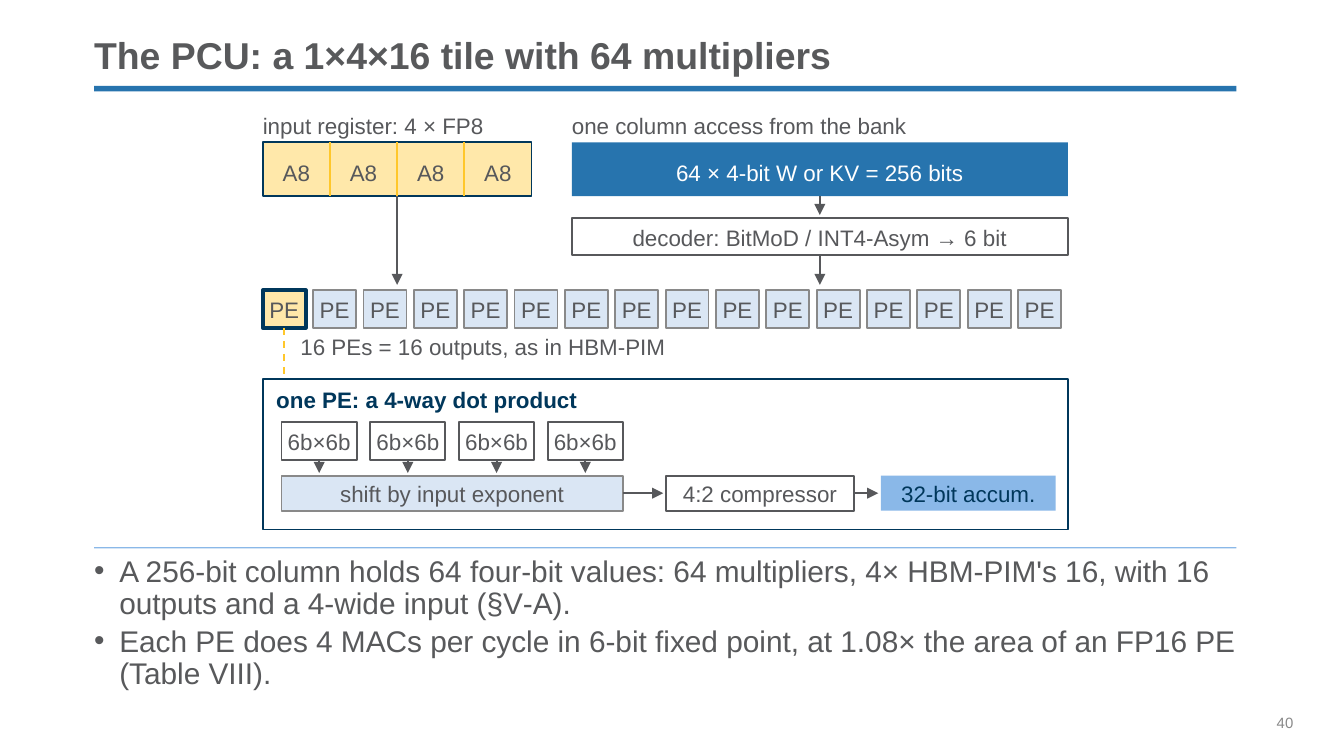
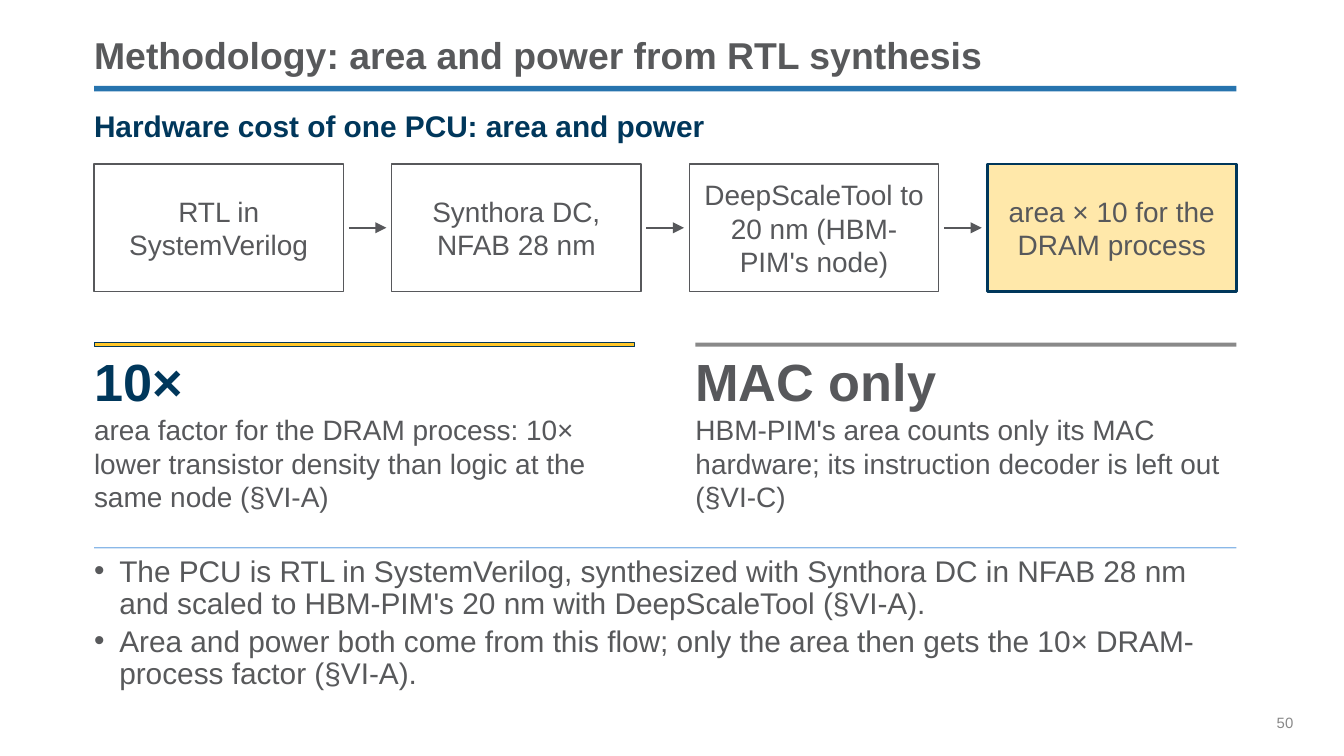
from pptx import Presentation
from pptx.dml.color import RGBColor
from pptx.enum.dml import MSO_LINE
from pptx.enum.shapes import MSO_CONNECTOR, MSO_SHAPE
from pptx.enum.text import MSO_ANCHOR, MSO_AUTO_SIZE, PP_ALIGN
from pptx.oxml.ns import qn
from pptx.util import Inches, Pt
from lxml.etree import SubElement

COLORS = {
    "title": "58595B",
    "ink": "57585B",
    "navy": "00375B",
    "blue": "2774AE",
    "sky": "8AB8E8",
    "pale": "DAE6F4",
    "gold": "FFC72B",
    "gray": "898989",
    "white": "FFFFFF",
}
FONT = "Arial"
LEFT, WIDTH = 0.7, 8.5


def add_box(page, text, left, top, width, height, shape=None, fill=None, alpha=None,
            line=None, weight=1, size=12, color="ink", bold=False, align=PP_ALIGN.LEFT,
            anchor=MSO_ANCHOR.MIDDLE, wrap=True, inset=0, drop=0, bullet=False, spacing=None):
    place = [Inches(value) for value in (left, top, width, height)]
    if shape is not None:
        shape.left, shape.top, shape.width, shape.height = place
    elif fill or line:
        shape = page.shapes.add_shape(MSO_SHAPE.RECTANGLE, *place)
        shape.shadow.inherit = False
        if fill:
            shape.fill.solid()
            shape.fill.fore_color.rgb = RGBColor.from_string(COLORS[fill])
        else:
            shape.fill.background()
        if alpha:
            tint = shape.element.find(f".//{qn('a:solidFill')}/{qn('a:srgbClr')}")
            SubElement(tint, qn("a:alpha"), val=str(alpha * 1000))
        if line:
            shape.line.color.rgb = RGBColor.from_string(COLORS[line])
            shape.line.width = Pt(weight)
        else:
            shape.line.fill.background()
    else:
        shape = page.shapes.add_textbox(*place)
    if not text:
        return
    frame = shape.text_frame
    frame.auto_size = MSO_AUTO_SIZE.NONE
    frame.word_wrap = wrap
    frame.vertical_anchor = anchor
    frame.margin_left = frame.margin_right = Inches(inset)
    frame.margin_top, frame.margin_bottom = Inches(drop), 0
    frame.text = text
    for index, para in enumerate(frame.paragraphs):
        if bullet:
            properties = para._p.get_or_add_pPr()
            properties.set("marL", str(Pt(13.5)))
            properties.set("indent", str(-Pt(13.5)))
            SubElement(properties, qn("a:buFont"), typeface=FONT)
            SubElement(properties, qn("a:buChar"), char="•")
            para.space_before = Pt(3 if index else 0)
        para.alignment = align
        if spacing:
            para.line_spacing = spacing
        para.font.name = FONT
        para.font.size = Pt(size)
        para.font.bold = bold
        para.font.color.rgb = RGBColor.from_string(COLORS[color])


def add_line(page, x1, y1, x2, y2, color="ink", weight=1, arrow=True, dash=None):
    line = page.shapes.add_connector(
        MSO_CONNECTOR.STRAIGHT, Inches(x1), Inches(y1), Inches(x2), Inches(y2))
    line.line.color.rgb = RGBColor.from_string(COLORS[color])
    line.line.width = Pt(weight)
    if dash:
        line.line.dash_style = dash
    if arrow:
        SubElement(line.line._get_or_add_ln(), qn("a:tailEnd"), type="triangle")
    SubElement(line.element.spPr, qn("a:effectLst"))


deck = Presentation()
deck.slide_width = Inches(10)
deck.slide_height = Inches(10 * 9 / 16)

SLIDES = [
    ("The PCU: a 1×4×16 tile with 64 multipliers", "40", [
        "A 256-bit column holds 64 four-bit values: 64 multipliers, 4× HBM-PIM's 16, "
        "with 16 outputs and a 4-wide input (§V‑A).",
        "Each PE does 4 MACs per cycle in 6-bit fixed point, at 1.08× the area of "
        "an FP16 PE (Table VIII).",
    ]),
    ("Methodology: area and power from RTL synthesis", "50", [
        "The PCU is RTL in SystemVerilog, synthesized with Synthora DC in NFAB 28 nm "
        "and scaled to HBM-PIM's 20 nm with DeepScaleTool (§VI‑A).",
        "Area and power both come from this flow; only the area then gets the 10× "
        "DRAM-process factor (§VI‑A).",
    ]),
]
pages = []
for title, number, points in SLIDES:
    page = deck.slides.add_slide(deck.slide_layouts[5])
    add_box(page, "", LEFT, 0.64, WIDTH, 0.04, fill="blue")
    add_box(page, "", LEFT, 4.07, WIDTH, 0.01, fill="sky")
    add_box(page, title, LEFT, 0.22, WIDTH, 0.36, shape=page.shapes.title, size=20,
            color="title", bold=True, anchor=MSO_ANCHOR.BOTTOM, spacing=0.9)
    add_box(page, "\n".join(points), LEFT, 4.14, WIDTH + 0.02, 1.06, size=16, color="title",
            anchor=MSO_ANCHOR.TOP, bullet=True, spacing=0.9)
    add_box(page, number, 9.5, 5.31, 0.5, 0.14, size=8, color="gray", anchor=MSO_ANCHOR.TOP)
    pages.append(page)
tile, method = pages

centered = {"align": PP_ALIGN.CENTER, "wrap": False}
lowered = {"drop": 0.01, **centered}
plain = {"fill": "white", "line": "ink", **lowered}
shaded = {"fill": "pale", "line": "gray", **lowered}
highlight = {"fill": "gold", "alpha": 40, "line": "navy"}

tile_width = 5.99
start = LEFT + (WIDTH - tile_width) / 2
bank_left, bank_width = start + 2.3, 3.69
bank_middle = bank_left + bank_width / 2

add_box(tile, "", start, 1.06, 2, 0.4, **highlight)
for cell in range(4):
    cell_left = start + 0.5 * cell
    add_box(tile, "A8", cell_left, 1.16, 0.5, 0.25, **centered)
    if cell:
        add_line(tile, cell_left, 1.06, cell_left, 1.46, color="gold", arrow=False)
add_box(tile, "64 × 4-bit W or KV = 256 bits", bank_left, 1.06, bank_width, 0.4, fill="blue",
        color="white", drop=0.05, **centered)
add_box(tile, "decoder: BitMoD / INT4-Asym → 6 bit", bank_left, 1.62, bank_width, 0.28, **plain)

for label, left, top, width in [
    ("input register: 4 × FP8", start, 0.81, 2.32),
    ("one column access from the bank", bank_left, 0.81, 3.1),
    ("16 PEs = 16 outputs, as in HBM-PIM", start + 0.28, 2.45, 3.39),
]:
    add_box(tile, label, left, top, width, 0.25, wrap=False)

for x, top, bottom in [(bank_middle, 1.46, 1.6), (start + 1, 1.46, 2.12),
                       (bank_middle, 1.9, 2.12)]:
    add_line(tile, x, top, x, bottom)

for element in range(16):
    style = shaded if element else {**highlight, "weight": 2, **lowered}
    add_box(tile, "PE", start + 5.62 / 15 * element, 2.16, 0.32, 0.28, **style)
add_line(tile, start + 0.16, 2.44, start + 0.16, 2.8, color="gold", arrow=False,
         dash=MSO_LINE.DASH)

add_box(tile, "", start, 2.82, tile_width, 1.12, line="navy")
add_box(tile, "one PE: a 4-way dot product", start + 0.1, 2.85, 2.71, 0.25, color="navy",
        bold=True, wrap=False)
for multiplier in range(4):
    left = start + 0.14 + 0.66 * multiplier
    add_box(tile, "6b×6b", left, 3.14, 0.56, 0.28, **plain)
    add_line(tile, left + 0.28, 3.42, left + 0.28, 3.52)
add_box(tile, "shift by input exponent", start + 0.14, 3.54, 2.54, 0.26, **shaded)
add_box(tile, "4:2 compressor", start + 3, 3.54, 1.4, 0.26, **plain)
add_box(tile, "32-bit accum.", start + 4.6, 3.54, 1.3, 0.26, fill="sky", color="navy", **lowered)
for x1, x2 in [(2.68, 2.98), (4.4, 4.58)]:
    add_line(tile, start + x1, 3.67, start + x2, 3.67)

add_box(method, "Hardware cost of one PCU: area and power", LEFT, 0.8, WIDTH, 0.32, size=16,
        color="navy", bold=True, anchor=MSO_ANCHOR.TOP)
steps = [
    "RTL in SystemVerilog",
    "Synthora DC, NFAB 28 nm",
    "DeepScaleTool to 20 nm (HBM-PIM's node)",
    "area × 10 for the DRAM process",
]
step_top, step_height, step_gap = 1.22, 0.95, 0.36
step_width = (WIDTH - step_gap * (len(steps) - 1)) / len(steps)
step_middle = step_top + step_height / 2
for index, step in enumerate(steps):
    left = LEFT + (step_width + step_gap) * index
    right = left + step_width
    last = index == len(steps) - 1
    style = {**highlight, "weight": 1.5} if last else {
        "fill": "white", "line": "ink", "weight": 0.75}
    add_box(method, step, left, step_top, step_width, step_height, size=15,
            align=PP_ALIGN.CENTER, inset=0.08, **style)
    if not last:
        add_line(method, right + 0.04, step_middle, right + step_gap - 0.04, step_middle,
                 weight=1.25)

facts = [
    ("10×", "navy", {"fill": "gold", "line": "navy", "weight": 0.5},
     "area factor for the DRAM process: 10× lower transistor density than logic at the "
     "same node (§VI‑A)"),
    ("MAC only", "ink", {"fill": "gray"},
     "HBM-PIM's area counts only its MAC hardware; its instruction decoder is left out "
     "(§VI‑C)"),
]
fact_gap = 0.45
fact_width = (WIDTH - fact_gap) / 2
for index, (headline, color, bar, detail) in enumerate(facts):
    left = LEFT + (fact_width + fact_gap) * index
    add_box(method, "", left, 2.55, fact_width, 0.03, **bar)
    add_box(method, headline, left, 2.6, fact_width, 0.46, size=28, color=color, bold=True)
    add_box(method, detail, left, 3.07, fact_width, 0.8, size=15, anchor=MSO_ANCHOR.TOP)

deck.save("out.pptx")
